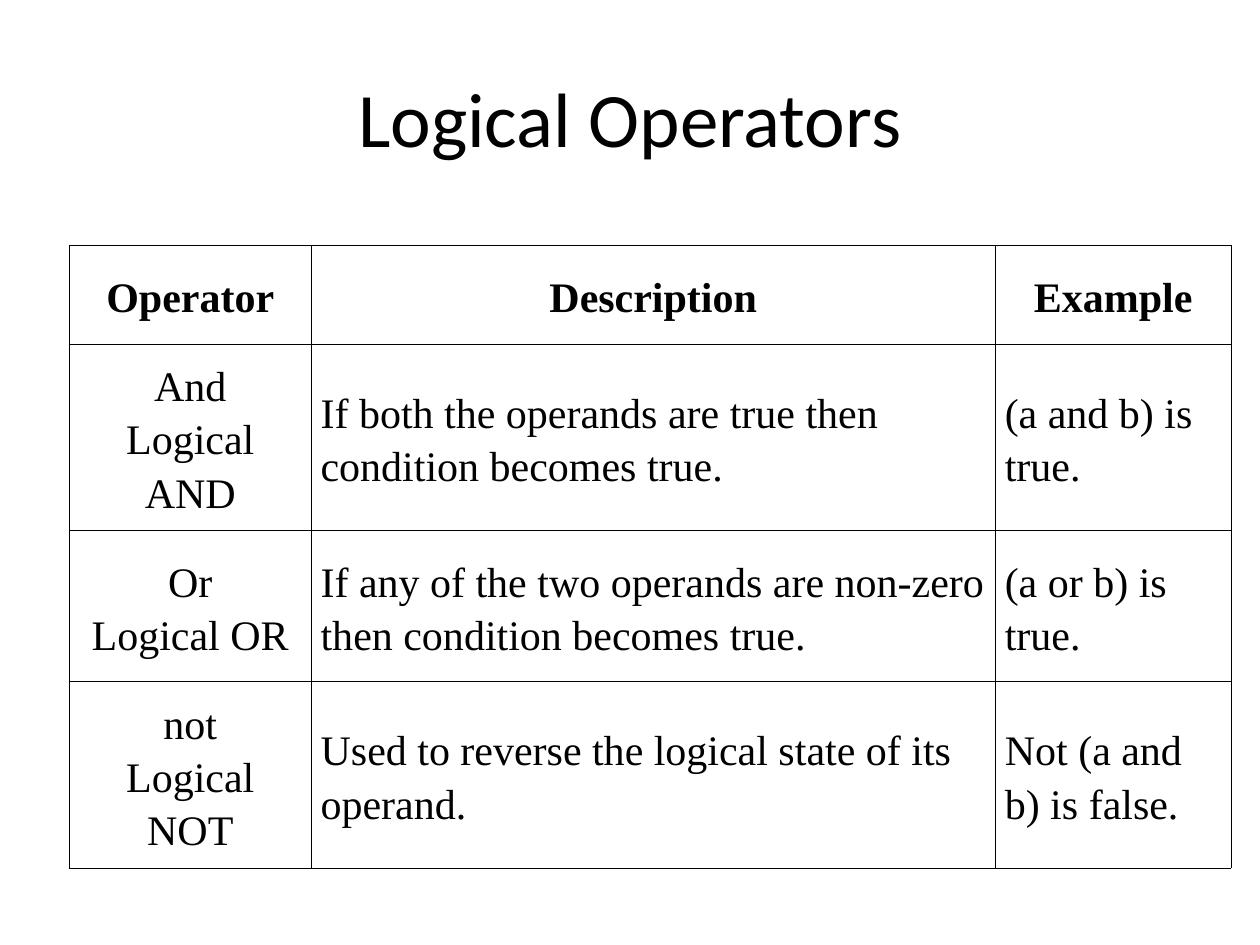
from lxml.etree import SubElement
from pptx import Presentation
from pptx.dml.color import RGBColor
from pptx.enum.text import MSO_ANCHOR, PP_ALIGN
from pptx.oxml import parse_xml
from pptx.oxml.ns import nsdecls
from pptx.util import Pt

COLORS = {"text": "000000", "border": "000000", "background": "FFFFFF"}
TITLE_FONT = {"name": "Calibri", "size": Pt(44), "bold": False}
HEADER_FONT = {"name": "Times New Roman", "size": Pt(24), "bold": True}
BODY_FONT = HEADER_FONT | {"bold": False}
CELL_FORMAT = {
    "margin_left": Pt(5.4), "margin_right": Pt(5.4),
    "margin_top": Pt(3.6), "margin_bottom": Pt(3.6),
    "vertical_anchor": MSO_ANCHOR.MIDDLE,
}
COLUMN_WIDTHS = [138.24, 390.96, 134.64]
ROW_HEIGHTS = [56.16, 99.36, 86.4, 99.36]
OPERATORS = [
    ["Operator", "Description", "Example"],
    ["And\nLogical AND",
     "If both the operands are true then condition becomes true.",
     "(a and b) is true."],
    ["Or\nLogical OR",
     "If any of the two operands are non-zero then condition becomes true.",
     "(a or b) is true."],
    ["not\nLogical NOT",
     "Used to reverse the logical state of its operand.",
     "Not (a and b) is false."],
]


def apply_format(target, values):
    """Set each named attribute on the target."""
    for name, value in values.items():
        setattr(target, name, value)


def write_text(frame, text, font, align, spacing):
    """Fill a text frame with evenly formatted paragraphs."""
    frame.text = text
    for paragraph in frame.paragraphs:
        apply_format(paragraph, {"alignment": align, "line_spacing": spacing})
        for run in paragraph.runs:
            apply_format(run.font, font)
            run.font.color.rgb = RGBColor.from_string(COLORS["text"])


def add_borders(cell, width):
    """Draw a solid line on all four sides of a cell."""
    properties = cell._tc.get_or_add_tcPr()
    for position, side in enumerate(("lnL", "lnR", "lnT", "lnB")):
        line = parse_xml(
            f'<a:{side} {nsdecls("a")} w="{Pt(width)}"><a:solidFill>'
            f'<a:srgbClr val="{COLORS["border"]}"/></a:solidFill></a:{side}>'
        )
        properties.insert(position, line)


def add_title(slide, left, top, width, height):
    """Place the centred slide title in its box."""
    frame = slide.shapes.add_textbox(Pt(left), Pt(top), Pt(width), Pt(height)).text_frame
    apply_format(frame, {"word_wrap": True, "vertical_anchor": MSO_ANCHOR.MIDDLE})
    write_text(frame, "Logical Operators", TITLE_FONT, PP_ALIGN.CENTER, 1.0)


def add_operator_table(slide, left, top):
    """Place the table of operators with its top left corner at the given point."""
    table = slide.shapes.add_table(
        len(OPERATORS), len(COLUMN_WIDTHS), Pt(left), Pt(top),
        Pt(sum(COLUMN_WIDTHS)), Pt(sum(ROW_HEIGHTS)),
    ).table
    apply_format(table, {"first_row": False, "horz_banding": False})
    for column, width in zip(table.columns, COLUMN_WIDTHS):
        column.width = Pt(width)
    for row_index, (row, height) in enumerate(zip(table.rows, ROW_HEIGHTS)):
        row.height = Pt(height)
        is_header = row_index == 0
        for column_index, cell in enumerate(row.cells):
            centred = is_header or column_index == 0
            apply_format(cell, CELL_FORMAT)
            cell.fill.background()
            add_borders(cell, 0.45)
            write_text(
                cell.text_frame, OPERATORS[row_index][column_index],
                HEADER_FONT if is_header else BODY_FONT,
                PP_ALIGN.CENTER if centred else PP_ALIGN.LEFT, 1.15,
            )


def main():
    """Build and save the slide."""
    presentation = Presentation()
    apply_format(presentation, {"slide_width": Pt(720), "slide_height": Pt(540)})
    slide = presentation.slides.add_slide(presentation.slide_layouts[6])
    background = slide.background.fill
    background.solid()
    background.fore_color.rgb = RGBColor.from_string(COLORS["background"])
    add_title(slide, 36, 21.6, 648, 90)
    add_operator_table(slide, 39.6, 140.4)
    presentation.save("out.pptx")


if __name__ == "__main__":
    main()
